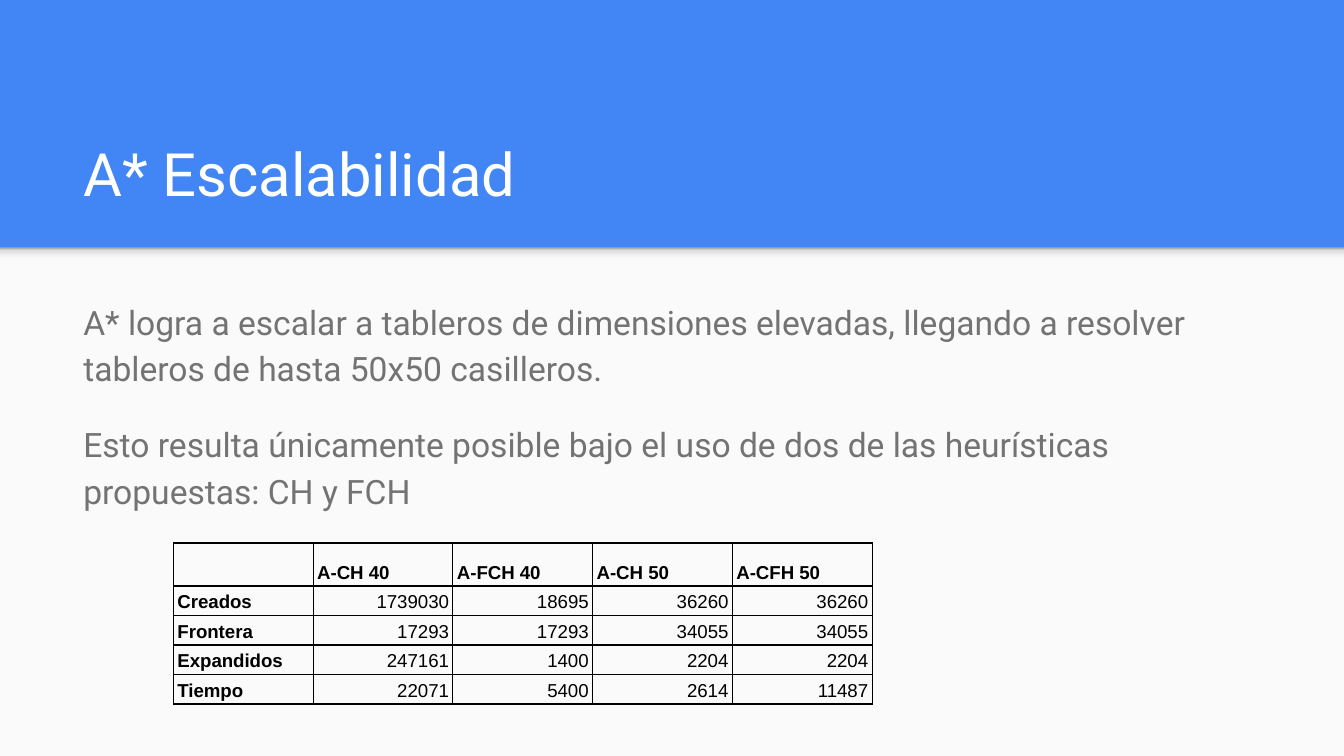
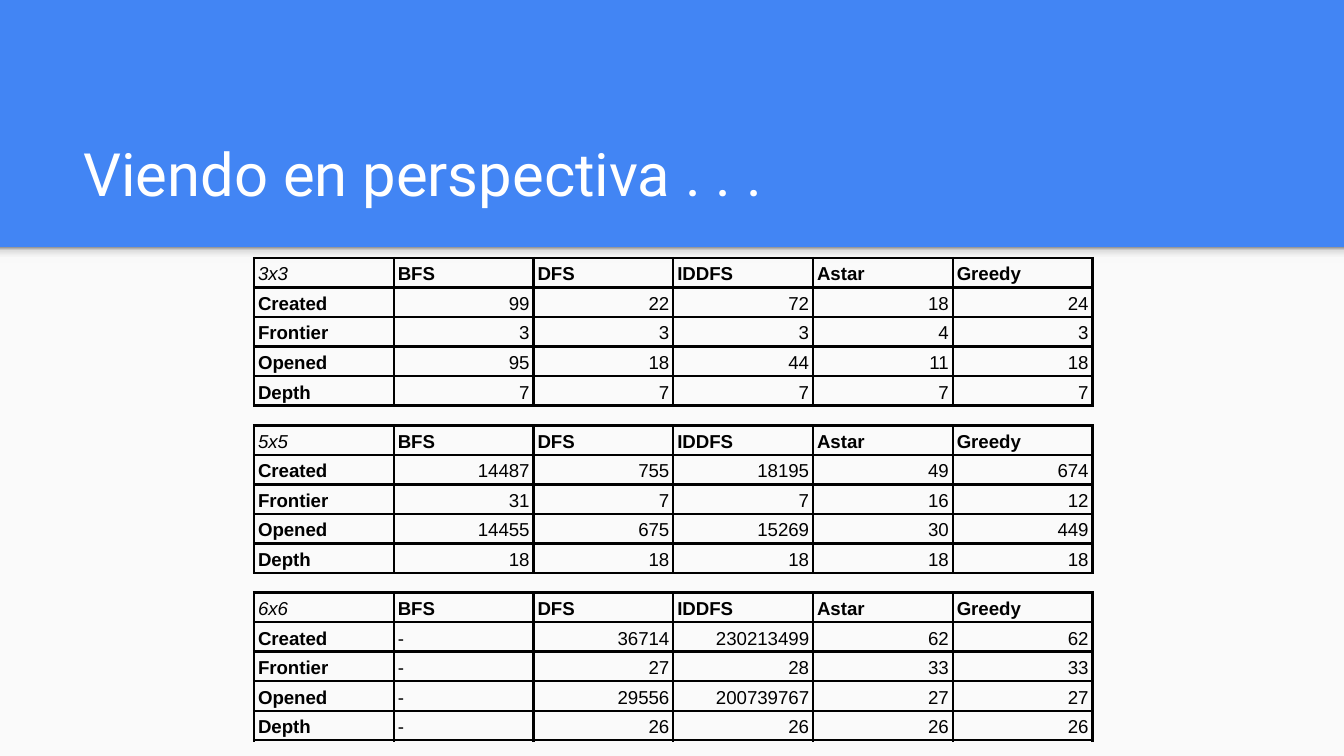
from lxml import etree
from pptx import Presentation
from pptx import util as u
from pptx.dml.color import RGBColor
from pptx.enum import shapes, text
from pptx.oxml import parse_xml
from pptx.oxml.ns import nsdecls, qn

WIDTH = 10
HEIGHT = WIDTH * 9 / 16
BAND_HEIGHT = 1.84
BLUE, PANEL, WHITE, GREY, BLACK = "4285F4", "FAFAFA", "FFFFFF", "737373", "000000"
SHADOW_STOPS = [(0, "F9F9F9"), (36, "F9F9F9"), (80, "DEDEDE"), (100, "999999")]
TITLE_BOX = (0.52, 0.81, 8.99, 0.84)
BODY_BOX = (0.52, 2.1, 8.99, 2.96)
COLUMN, ROW, TALL_ROW = 1.04, 0.22, 0.32

SCALING_TITLE = "A* Escalabilidad"
SCALING_TEXT = [
    "A* logra a escalar a tableros de dimensiones elevadas, llegando a resolver "
    "tableros de hasta 50x50 casilleros.",
    "Esto resulta únicamente posible bajo el uso de dos de las heurísticas "
    "propuestas: CH y FCH",
]
SCALING_ROWS = [
    ("", "A-CH 40", "A-FCH 40", "A-CH 50", "A-CFH 50"),
    ("Creados", "1739030", "18695", "36260", "36260"),
    ("Frontera", "17293", "17293", "34055", "34055"),
    ("Expandidos", "247161", "1400", "2204", "2204"),
    ("Tiempo", "22071", "5400", "2614", "11487"),
]

COMPARISON_TITLE = "Viendo en perspectiva . . ."
METHODS = ("BFS", "DFS", "IDDFS", "Astar", "Greedy")
MEASURES = ("Created", "Frontier", "Opened", "Depth")
BOARDS = {
    "3x3": [
        ("99", "22", "72", "18", "24"),
        ("3", "3", "3", "4", "3"),
        ("95", "18", "44", "11", "18"),
        ("7", "7", "7", "7", "7"),
    ],
    "5x5": [
        ("14487", "755", "18195", "49", "674"),
        ("31", "7", "7", "16", "12"),
        ("14455", "675", "15269", "30", "449"),
        ("18", "18", "18", "18", "18"),
    ],
    "6x6": [
        ("-", "36714", "230213499", "62", "62"),
        ("-", "27", "28", "33", "33"),
        ("-", "29556", "200739767", "27", "27"),
        ("-", "26", "26", "26", "26"),
    ],
}
BOARDS_LEFT, BOARDS_TOP, BOARDS_BOTTOM = 1.89, 1.92, 4.41


def color(value):
    return RGBColor.from_string(value)


def inches(*lengths):
    return [u.Inches(length) for length in lengths]


def set_font(paragraph, name, size, fill, bold=False, italic=False):
    font = paragraph.font
    font.name, font.size = name, u.Pt(size)
    font.bold, font.italic = bold, italic
    font.color.rgb = color(fill)


def add_backdrop(master, slide):
    """Give the master its blue ground, light panel and shadow strip."""
    master.background.fill.solid()
    master.background.fill.fore_color.rgb = color(BLUE)
    for order, height in enumerate((HEIGHT - BAND_HEIGHT, 0.12)):
        shape = slide.shapes.add_shape(
            shapes.MSO_SHAPE.RECTANGLE, *inches(0, BAND_HEIGHT, WIDTH, height))
        shape.shadow.inherit = False
        shape.line.fill.background()
        if order == 0:
            shape.fill.solid()
            shape.fill.fore_color.rgb = color(PANEL)
        else:
            shape.fill.gradient()
            shape.fill.gradient_angle = 90
            stops = shape.element.spPr.find(".//" + qn("a:gsLst"))
            stops[:] = [parse_xml(
                f'<a:gs {nsdecls("a")} pos="{share * 1000}"><a:srgbClr val="{value}"/></a:gs>')
                for share, value in SHADOW_STOPS]
        shape.element.find(".//" + qn("p:cNvPr")).set("id", str(100 + order))
        master.shapes.element.insert(2 + order, shape.element)


def fill_placeholder(placeholder, box, paragraphs, anchor):
    placeholder.left, placeholder.top, placeholder.width, placeholder.height = inches(*box)
    frame = placeholder.text_frame
    frame.text = "\n".join(paragraphs)
    frame.word_wrap, frame.auto_size = True, text.MSO_AUTO_SIZE.NONE
    frame.vertical_anchor = anchor
    frame.margin_left = frame.margin_right = frame.margin_top = frame.margin_bottom = u.Inches(0.1)
    return frame.paragraphs


def add_title(slide, title):
    paragraph, = fill_placeholder(
        slide.shapes.title, TITLE_BOX, [title], text.MSO_ANCHOR.BOTTOM)
    paragraph.alignment = text.PP_ALIGN.LEFT
    set_font(paragraph, "Roboto", 32, WHITE)


def add_body(slide, lines):
    paragraphs = fill_placeholder(
        slide.placeholders[1], BODY_BOX, lines, text.MSO_ANCHOR.TOP)
    for order, paragraph in enumerate(paragraphs):
        properties = paragraph._p.get_or_add_pPr()
        properties.set("marL", "0")
        properties.set("indent", "0")
        etree.SubElement(properties, qn("a:buNone"))
        paragraph.line_spacing = 1.15
        paragraph.space_before = paragraph.space_after = u.Pt(16 if order else 0)
        set_font(paragraph, "Roboto", 18, GREY)


def add_borders(cell, points):
    properties = cell._tc.get_or_add_tcPr()
    for order, side in enumerate("LRTB"):
        properties.insert(order, parse_xml(
            f'<a:ln{side} {nsdecls("a")} w="{u.Pt(points)}"><a:solidFill>'
            f'<a:srgbClr val="{BLACK}"/></a:solidFill></a:ln{side}>'))


def add_results(slide, left, top, rows, border, header_height=ROW):
    columns = len(rows[0])
    heights = [header_height] + [ROW] * (len(rows) - 1)
    table = slide.shapes.add_table(
        len(rows), columns, *inches(left, top, COLUMN * columns, sum(heights))).table
    table.first_row = table.horz_banding = False
    for column in table.columns:
        column.width = u.Inches(COLUMN)
    for row, height in zip(table.rows, heights):
        row.height = u.Inches(height)
    for r, values in enumerate(rows):
        for c, value in enumerate(values):
            cell = table.cell(r, c)
            cell.text = value
            cell.fill.background()
            cell.vertical_anchor = text.MSO_ANCHOR.BOTTOM
            cell.margin_left = cell.margin_right = u.Inches(0.03)
            cell.margin_top = cell.margin_bottom = u.Inches(0.02)
            add_borders(cell, border)
            paragraph = cell.text_frame.paragraphs[0]
            paragraph.line_spacing = 1.15
            if value.isdigit():
                paragraph.alignment = text.PP_ALIGN.RIGHT
            corner = r == 0 and c == 0
            set_font(paragraph, "Arial", 10, BLACK,
                     bold=(r == 0) != (c == 0), italic=corner)


def main():
    presentation = Presentation()
    presentation.slide_width, presentation.slide_height = inches(WIDTH, HEIGHT)
    title_and_body, title_only = (presentation.slide_layouts[i] for i in (1, 5))

    scaling = presentation.slides.add_slide(title_and_body)
    add_backdrop(presentation.slide_master, scaling)
    add_title(scaling, SCALING_TITLE)
    add_body(scaling, SCALING_TEXT)
    add_results(scaling, 1.29, 4.04, SCALING_ROWS, 0.75, TALL_ROW)

    comparison = presentation.slides.add_slide(title_only)
    add_title(comparison, COMPARISON_TITLE)
    step = (BOARDS_BOTTOM - BOARDS_TOP) / (len(BOARDS) - 1)
    for order, (board, results) in enumerate(BOARDS.items()):
        rows = [(board, *METHODS)]
        rows += [(measure, *values) for measure, values in zip(MEASURES, results)]
        add_results(comparison, BOARDS_LEFT, BOARDS_TOP + order * step, rows, 1.5)

    presentation.save("out.pptx")


if __name__ == "__main__":
    main()
